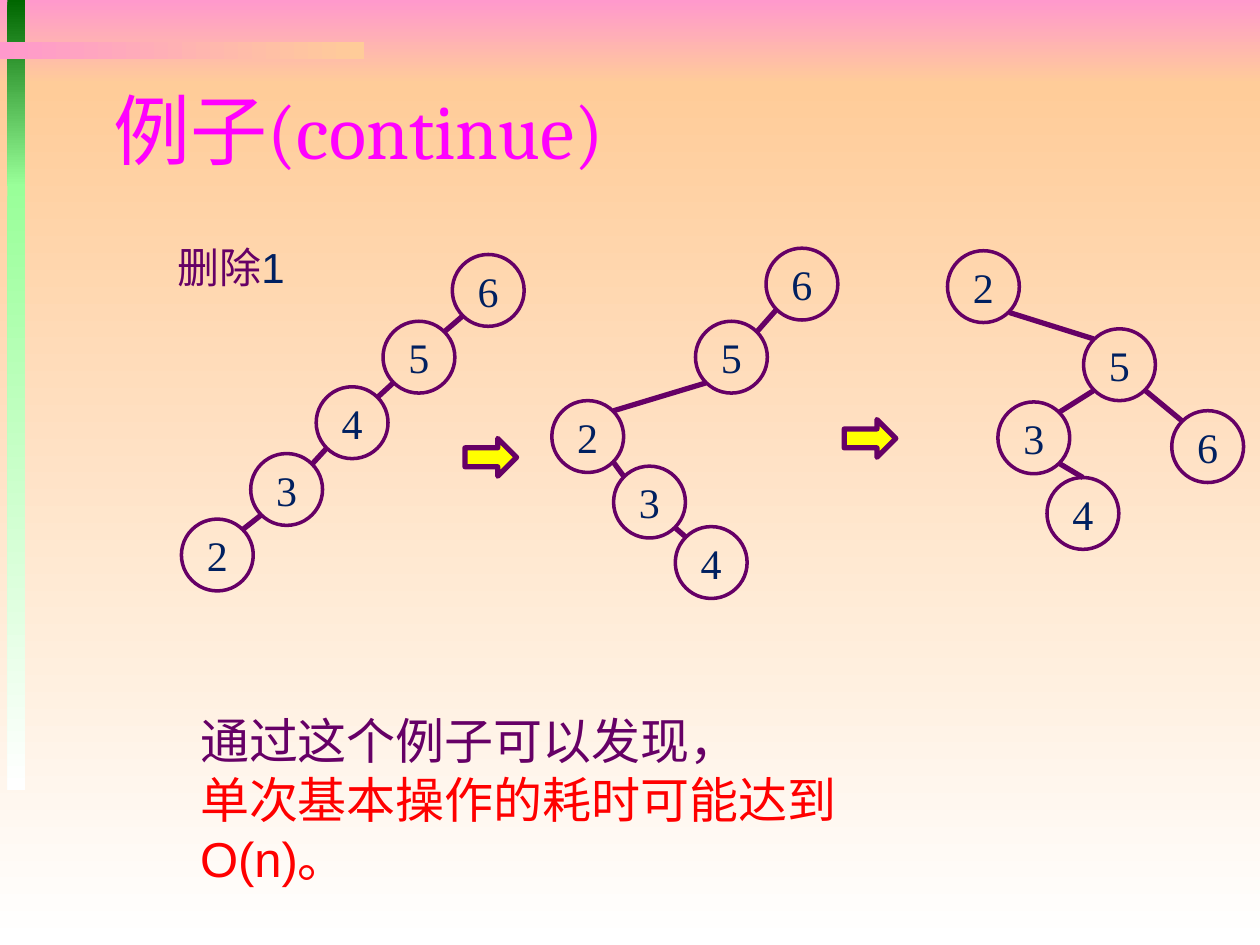
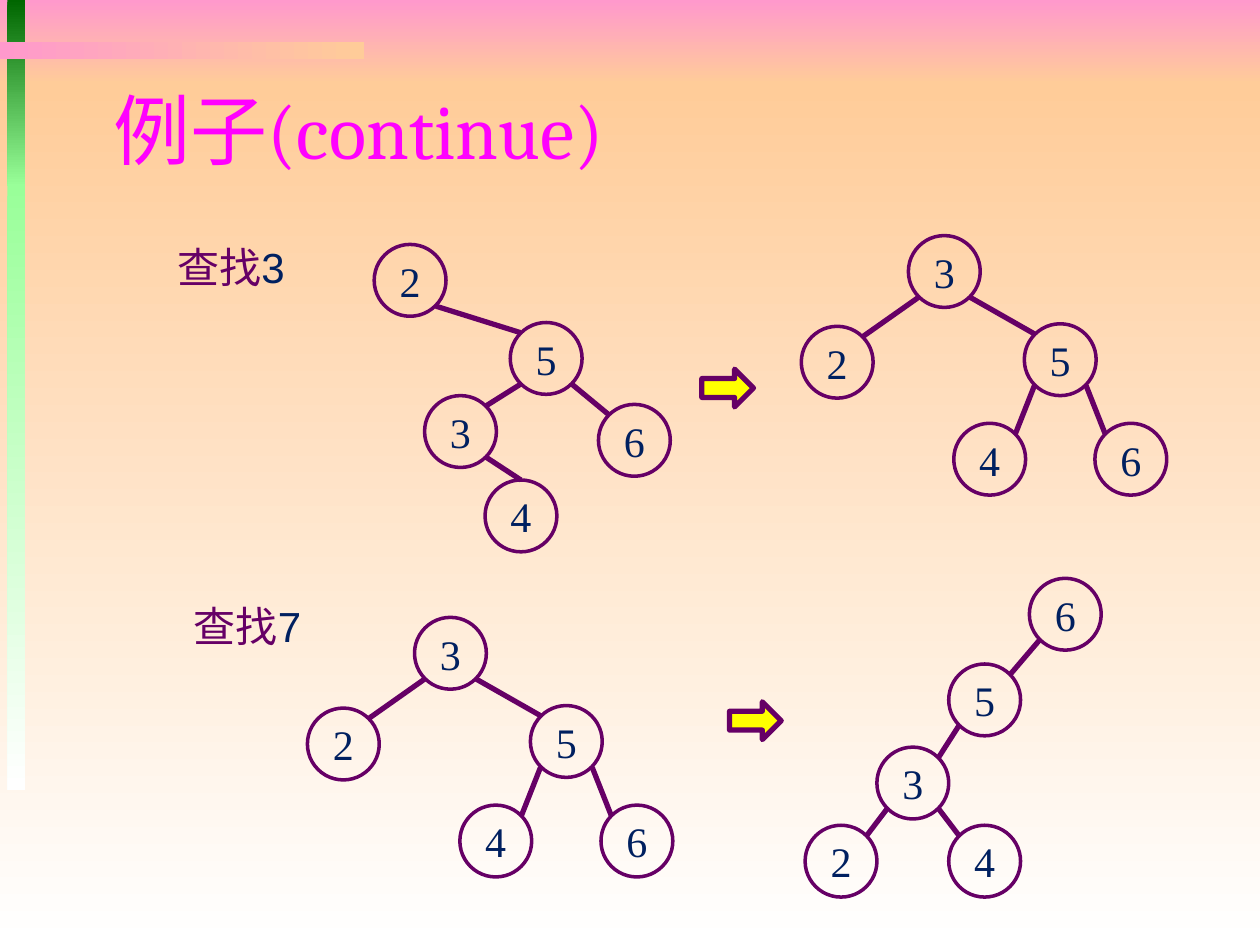
from lxml import etree
from pptx import Presentation
from pptx import util as u
from pptx.dml.color import RGBColor
from pptx.enum import shapes, text
from pptx.oxml.ns import qn

HUE = {
    "pink": "FF99CC", "peach": "FFCC99", "white": "FFFFFF",
    "green": "006600", "mint": "99FF99", "title": "FF00FF",
    "plum": "660066", "navy": "002060", "red": "FF0000", "gold": "FFFF00",
}
SIZE = 0.57   # node diameter
NEAR = 0.08   # diagonal rim point, from the near side of a node's box
FAR = SIZE - NEAR

# Each tree: key -> (left, top, parent), relative to the tree's box
CHAIN = {"6": (2.15, 0, None), "5": (1.6, 0.53, "6"), "4": (1.07, 1.05, "5"),
         "3": (0.55, 1.58, "4"), "2": (0, 2.1, "3")}
ZIGZAG = {"6": (1.7, 0, None), "5": (1.14, 0.58, "6"), "2": (0, 1.21, "5"),
          "3": (0.49, 1.73, "2"), "4": (0.98, 2.21, "3")}
HOOK = {"2": (0, 0, None), "5": (1.08, 0.62, "2"), "6": (1.78, 1.27, "5"),
        "3": (0.4, 1.2, "5"), "4": (0.79, 1.8, "3")}
WIDE = HOOK | {"4": (0.88, 1.87, "3")}
FORK = {"3": (0.85, 0, None), "2": (0, 0.72, "3"), "5": (1.77, 0.7, "3"),
        "6": (2.33, 1.49, "5"), "4": (1.21, 1.49, "5")}
SPLAY = {"6": (1.78, 0, None), "5": (1.14, 0.68, "6"), "3": (0.57, 1.34, "5"),
         "2": (0, 1.96, "3"), "4": (1.14, 1.96, "3")}


def hue(name):
    return RGBColor.from_string(HUE[name])


def box(*sides):
    return [u.Inches(side) for side in sides]


def add_run(para, words, size, face, tint):
    run = para.add_run()
    run.text = words
    run.font.size = u.Pt(size)
    run.font.name = face
    run.font.color.rgb = hue(tint)


def set_line(shape, width):
    shape.line.color.rgb = hue("plum")
    shape.line.width = u.Pt(width)


# Shared look: gradient bands on the master, title place on the layout
def add_bands(prs, slide):
    bands = [
        ((0, 0, 10, 0.67), "pink", "peach", 270),
        ((0, 0.67, 10, 6.83), "peach", "white", 270),
        ((0.06, 0, 0.14, 1.48), "green", "mint", 270),
        ((0.06, 1.46, 0.14, 4.81), "mint", "white", 270),
        ((0, 0.33, 2.89, 0.14), "pink", "peach", 0),
    ]
    tree = prs.slide_master.shapes.element
    for rank, (area, start, end, angle) in enumerate(bands, 2):
        band = slide.shapes.add_shape(shapes.MSO_SHAPE.RECTANGLE, *box(*area))
        band.shadow.inherit = False
        band.line.fill.background()
        band.fill.gradient()
        band.fill.gradient_angle = angle
        for stop, tint in zip(band.fill.gradient_stops, (start, end)):
            stop.color.rgb = hue(tint)
        tree.insert(rank, band.element)


def set_title(layout):
    title = layout.placeholders[0]
    title.left, title.top, title.width, title.height = box(0.8, 0.57, 8.5, 0.9)
    title.text_frame.vertical_anchor = text.MSO_ANCHOR.MIDDLE


def add_slide(prs, layout):
    slide = prs.slides.add_slide(layout)
    para = slide.shapes.title.text_frame.paragraphs[0]
    para.alignment = text.PP_ALIGN.LEFT
    add_run(para, "例子", 44, "Arial Narrow", "title")
    add_run(para, "(continue)", 44, "Cambria", "title")
    return slide


# Tree parts
def add_node(group, key, left, top):
    node = group.shapes.add_shape(shapes.MSO_SHAPE.OVAL, *box(left, top, SIZE, SIZE))
    node.shadow.inherit = False
    node.fill.background()
    set_line(node, 2)
    frame = node.text_frame
    frame.word_wrap = False
    frame.vertical_anchor = text.MSO_ANCHOR.MIDDLE
    para = frame.paragraphs[0]
    para.alignment = text.PP_ALIGN.CENTER
    add_run(para, key, 24, "Times New Roman", "navy")


def add_edge(group, ends):
    edge = group.shapes.add_connector(shapes.MSO_CONNECTOR.STRAIGHT, *box(*ends))
    set_line(edge, 3)
    etree.SubElement(edge.element.spPr, qn("a:effectLst"))


def add_tree(slide, left, top, nodes, crown=None):
    """Join rims on the diagonals; the crown node is joined at its top."""
    group = slide.shapes.add_group_shape()
    spots = {key: (left + x, top + y) for key, (x, y, _) in nodes.items()}
    for key, spot in spots.items():
        add_node(group, key, *spot)
    for key, (_, _, parent) in nodes.items():
        if parent is None:
            continue
        (x, y), (px, py) = spots[key], spots[parent]
        out, into = (NEAR, FAR) if x < px else (FAR, NEAR)
        drop = NEAR
        if key == crown:
            into, drop = SIZE / 2, 0
        add_edge(group, (px + out, py + FAR, x + into, y + drop))


# Captions and step arrows
def add_label(slide, left, top, verb, key):
    label = slide.shapes.add_textbox(*box(left, top, 1.35, 0.5))
    label.text_frame.word_wrap = True
    para = label.text_frame.paragraphs[0]
    add_run(para, verb, 24, "Arial", "plum")
    add_run(para, key, 24, "Arial", "navy")


def add_arrow(slide, left, top):
    arrow = slide.shapes.add_shape(shapes.MSO_SHAPE.RIGHT_ARROW, *box(left, top, 0.41, 0.3))
    arrow.shadow.inherit = False
    arrow.fill.solid()
    arrow.fill.fore_color.rgb = hue("gold")
    set_line(arrow, 3)


def add_note(slide, left, top):
    note = slide.shapes.add_textbox(*box(left, top, 6.4, 1.04))
    frame = note.text_frame
    frame.word_wrap = True
    add_run(frame.paragraphs[0], "通过这个例子可以发现，", 28, "Arial", "plum")
    add_run(frame.add_paragraph(), "单次基本操作的耗时可能达到O(n)。", 28, "Arial", "red")


def fill_delete(slide):
    add_tree(slide, 1.44, 2.02, CHAIN)
    add_tree(slide, 4.38, 1.97, ZIGZAG)
    add_note(slide, 1.49, 5.59)
    add_tree(slide, 7.52, 1.99, HOOK, crown="4")
    add_label(slide, 1.31, 1.87, "删除", "1")
    add_arrow(slide, 3.69, 3.48)
    add_arrow(slide, 6.7, 3.33)


def fill_find(slide):
    # Find 3
    add_label(slide, 1.31, 1.87, "查找", "3")
    add_tree(slide, 2.97, 1.94, WIDE, crown="4")
    add_arrow(slide, 5.57, 2.93)
    add_tree(slide, 6.36, 1.87, FORK)
    # Find 7
    add_label(slide, 1.44, 4.72, "查找", "7")
    add_tree(slide, 2.44, 4.9, FORK)
    add_arrow(slide, 5.79, 5.57)
    add_tree(slide, 6.39, 4.59, SPLAY)


def main():
    prs = Presentation()
    prs.slide_width, prs.slide_height = box(10, 7.5)
    layout = prs.slide_layouts[5]
    set_title(layout)
    first = add_slide(prs, layout)
    add_bands(prs, first)
    fill_delete(first)
    fill_find(add_slide(prs, layout))
    prs.save("out.pptx")


if __name__ == "__main__":
    main()
